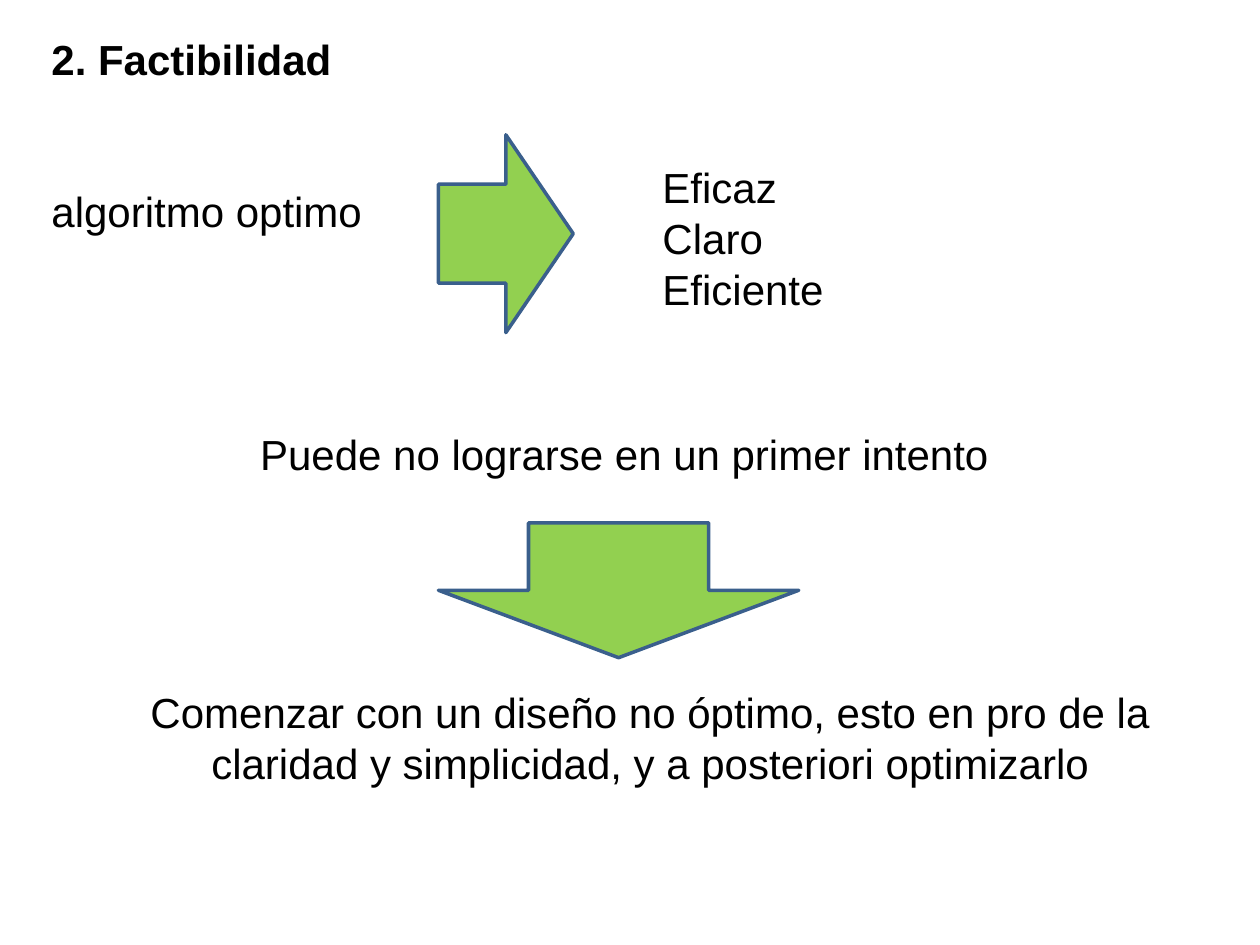
import pptx
import pptx.dml.color
import pptx.enum.shapes
import pptx.enum.text
import pptx.util

EMU_PER_PX = 9144  # 100 px to the inch
COLORS = {"text": "000000", "arrow": "92D050", "outline": "3A5F8C"}
ALIGN = pptx.enum.text.PP_ALIGN
SHAPE = pptx.enum.shapes.MSO_SHAPE


def px(*lengths):
    return [pptx.util.Emu(n * EMU_PER_PX) for n in lengths]


def rgb(name):
    return pptx.dml.color.RGBColor.from_string(COLORS[name])


class SlideBuilder:
    font = "Arial"
    size = pptx.util.Pt(24)
    line_pitch = pptx.util.Pt(29)
    outline_width = pptx.util.Pt(2)

    def __init__(self, slide):
        self.s = slide

    def text(self, box, lines, align=ALIGN.LEFT):
        """Add a text box with one paragraph per line and return its paragraphs."""
        tf = self.s.shapes.add_textbox(*px(*box)).text_frame
        tf.word_wrap = True
        tf.text = "\n".join(lines)
        for p in tf.paragraphs:
            p.alignment = align
            p.line_spacing = self.line_pitch
            p.font.name = self.font
            p.font.size = self.size
            p.font.color.rgb = rgb("text")
        return tf.paragraphs

    def arrow(self, kind, box):
        sp = self.s.shapes.add_shape(kind, *px(*box))
        sp.shadow.inherit = False
        sp.fill.solid()
        sp.fill.fore_color.rgb = rgb("arrow")
        sp.line.color.rgb = rgb("outline")
        sp.line.width = self.outline_width


def main():
    prs = pptx.Presentation()
    prs.slide_width, prs.slide_height = px(1000, 750)
    b = SlideBuilder(prs.slides.add_slide(prs.slide_layouts[6]))

    title, subject = b.text((31, 21, 405, 172), ["2. Factibilidad", "algoritmo optimo"])
    title.font.bold = True
    subject.space_before = 2 * b.line_pitch

    b.text((27, 335, 937, 81), ["Puede no lograrse en un primer intento"], ALIGN.CENTER)
    b.text((516, 123, 150, 131), ["Eficaz", "Claro", "Eficiente"])
    b.text((63, 540, 906, 91),
           ["Comenzar con un diseño no óptimo, esto en pro de la",
            "claridad y simplicidad, y a posteriori optimizarlo"], ALIGN.CENTER)

    b.arrow(SHAPE.RIGHT_ARROW, (348, 107, 107, 157))
    b.arrow(SHAPE.DOWN_ARROW, (348, 415, 286, 107))

    prs.save("out.pptx")


if __name__ == "__main__":
    main()
